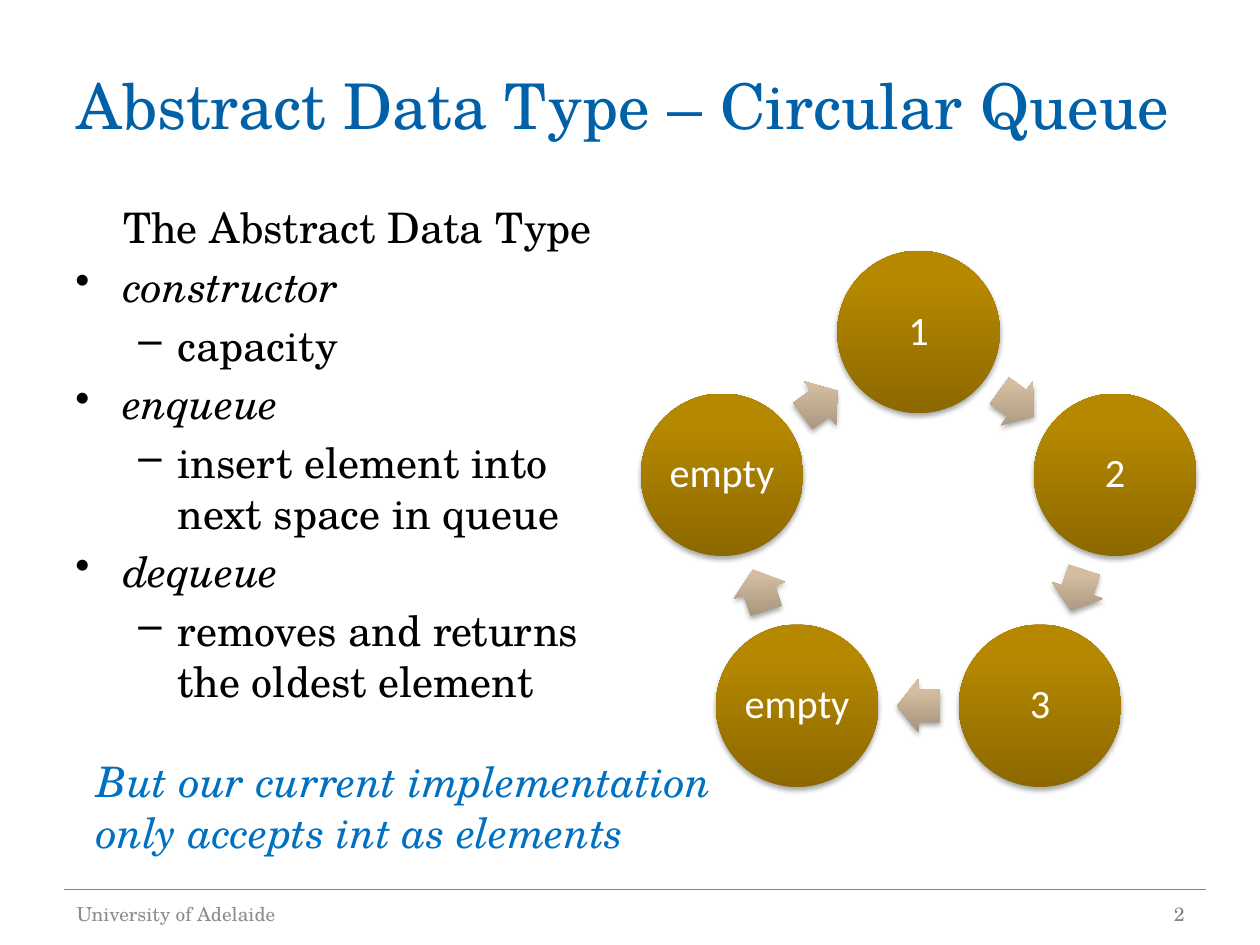
"""Build the slide on the circular queue as an abstract data type."""
from math import cos, pi, sin

from lxml import etree
from pptx import Presentation
from pptx.dml.color import RGBColor
from pptx.enum.shapes import MSO_CONNECTOR, MSO_SHAPE
from pptx.enum.text import MSO_ANCHOR, PP_ALIGN
from pptx.oxml import parse_xml
from pptx.oxml.ns import nsdecls, qn
from pptx.util import Inches, Pt

MIDDLE, TOP = MSO_ANCHOR.MIDDLE, MSO_ANCHOR.TOP
LEFT, CENTER, RIGHT = PP_ALIGN.LEFT, PP_ALIGN.CENTER, PP_ALIGN.RIGHT
SERIF, SANS = "TeX Gyre Schola", "Calibri"
COLORS = {"title": "0060A8", "body": "000000", "remark": "0070C0", "rule": "808285",
          "footer": "8C8C8C", "label": "FFFFFF"}
SLOT_STOPS = {0: "8C6800", 80: "B58800", 100: "B68800"}
ARROW_STOPS = {0: "A4927B", 80: "D5BEA0", 100: "D7BF9F"}


def write(shape, text, size, color, name=SERIF, align=LEFT, anchor=MIDDLE, italic=False):
    frame = shape.text_frame
    frame.word_wrap = True
    frame.vertical_anchor = anchor
    paragraph = frame.paragraphs[0]
    paragraph.text = text
    paragraph.alignment = align
    for key, value in {"size": Pt(size), "name": name, "italic": italic}.items():
        setattr(paragraph.font, key, value)
    paragraph.font.color.rgb = RGBColor.from_string(COLORS[color])
    return paragraph


def shade(shape, stops):
    shape.line.fill.background()
    shape.fill.background()
    properties = shape._element.spPr
    stop_xml = "".join(f'<a:gs pos="{position * 1000}"><a:srgbClr val="{color}"/></a:gs>'
                       for position, color in stops.items())
    gradient = parse_xml(f'<a:gradFill {nsdecls("a")} rotWithShape="0"><a:gsLst>{stop_xml}</a:gsLst>'
                         '<a:lin ang="16200000" scaled="0"/></a:gradFill>')
    properties.replace(properties.find(qn("a:noFill")), gradient)
    properties.append(parse_xml(
        f'<a:effectLst {nsdecls("a")}><a:outerShdw blurRad="{Pt(3.1)}" dist="{Pt(1.8)}" '
        'dir="5400000" rotWithShape="0"><a:srgbClr val="000000"><a:alpha val="35000"/>'
        '</a:srgbClr></a:outerShdw></a:effectLst>'))


prs = Presentation()
prs.slide_width, prs.slide_height = Inches(10), Inches(7.5)
slide = prs.slides.add_slide(prs.slide_layouts[5])
shapes = slide.shapes

rule = shapes.add_connector(MSO_CONNECTOR.STRAIGHT, Inches(0.51), Inches(7.06), Inches(9.57), Inches(7.06))
rule.line.color.rgb = RGBColor.from_string(COLORS["rule"])
rule.line.width = Pt(0.75)
etree.SubElement(rule._element.spPr, qn("a:effectLst"))

title = shapes.title
title_box = {"left": 0.51, "top": 0.36, "width": 9, "height": 0.93}
for side, length in title_box.items():
    setattr(title, side, Inches(length))
write(title, "Abstract Data Type – Circular Queue", 36, "title")

operations = [
    ("The Abstract Data Type", None),
    ("constructor", "•"),
    ("capacity", "–"),
    ("enqueue", "•"),
    ("insert element into next space in queue", "–"),
    ("dequeue", "•"),
    ("removes and returns the oldest element", "–"),
]
indents = {None: (0.38, 0), "•": (0.38, -0.38), "–": (0.81, -0.31)}
body = shapes.add_textbox(Inches(0.5), Inches(1.55), Inches(4.42), Inches(5.15))
body.text_frame.word_wrap = True
for number, (text, bullet) in enumerate(operations):
    line = body.text_frame.add_paragraph() if number else body.text_frame.paragraphs[0]
    line.text = text
    line.level = int(bullet == "–")
    line.space_before = Pt(4.8)
    for key, value in {"size": Pt(24), "name": SERIF, "italic": bullet == "•"}.items():
        setattr(line.font, key, value)
    line.font.color.rgb = RGBColor.from_string(COLORS["body"])
    margin, hanging = indents[bullet]
    properties = line._p.get_or_add_pPr()
    properties.set("marL", str(Inches(margin)))
    properties.set("indent", str(Inches(hanging)))
    if bullet:
        mark = parse_xml(f'<a:buChar {nsdecls("a")} char="{bullet}"/>')
        properties.insert_element_before(mark, "a:tabLst", "a:defRPr", "a:extLst")

footers = [("University of Adelaide", 0.51, 3.17, "footer", LEFT), ("2", 7.17, 2.33, "rule", RIGHT)]
for text, left, width, color, align in footers:
    footer = shapes.add_textbox(Inches(left), Inches(7.05), Inches(width), Inches(0.4))
    write(footer, text, 11, color, align=align).space_after = Pt(6)

slots = ["1", "2", "3", "empty", "empty"]
center_x, center_y, radius = 7.29, 4.275, 1.64
diameter, arrow_length, arrow_width = 1.29, 0.34, 0.43
step = 2 * pi / len(slots)
arrow_radius = radius * cos(step / 2)
for number, label in enumerate(slots):
    angle = number * step
    slot = shapes.add_shape(
        MSO_SHAPE.OVAL,
        Inches(center_x + radius * sin(angle) - diameter / 2),
        Inches(center_y - radius * cos(angle) - diameter / 2),
        Inches(diameter), Inches(diameter))
    shade(slot, SLOT_STOPS)
    for side in ("left", "top", "right", "bottom"):
        setattr(slot.text_frame, f"margin_{side}", Inches(0.03))
    write(slot, label, 23, "label", SANS, CENTER).line_spacing = 0.9

    middle = angle + step / 2
    arrow = shapes.add_shape(
        MSO_SHAPE.RIGHT_ARROW,
        Inches(center_x + arrow_radius * sin(middle) - arrow_length / 2),
        Inches(center_y - arrow_radius * cos(middle) - arrow_width / 2),
        Inches(arrow_length), Inches(arrow_width))
    arrow.rotation = 36 + 72 * number
    arrow.adjustments[0], arrow.adjustments[1] = 0.6, 0.5
    shade(arrow, ARROW_STOPS)

remark = shapes.add_textbox(Inches(0.67), Inches(5.95), Inches(5.41), Inches(1))
write(remark, "But our current implementation only accepts int as elements", 24, "remark",
      anchor=TOP, italic=True).space_before = Pt(4.8)

prs.save("out.pptx")
